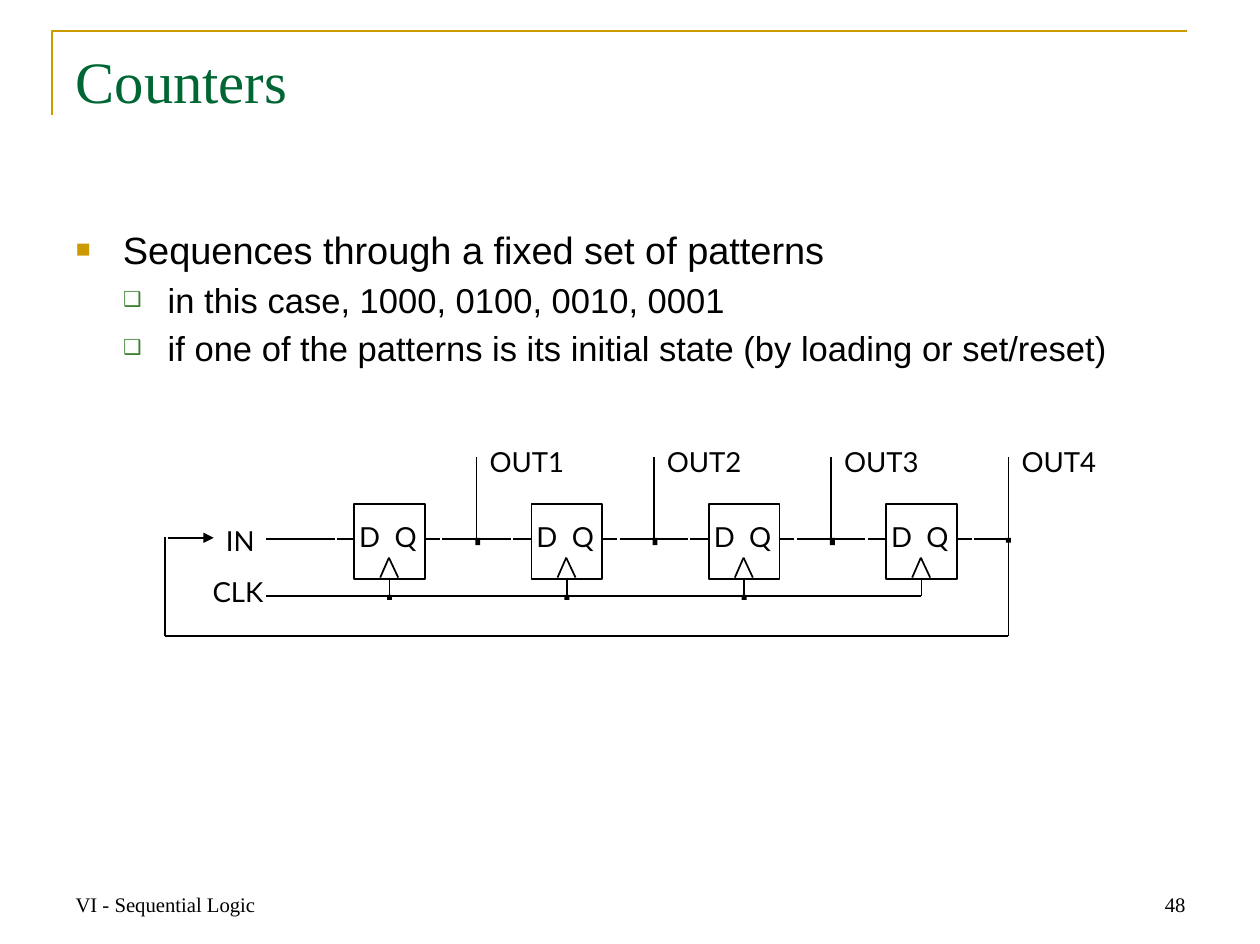
from lxml import etree
from pptx import Presentation
from pptx import util as u
from pptx.dml import color
from pptx.enum import shapes, text
from pptx.oxml import ns

COLORS = {
    "ink": "000000",
    "paper": "FFFFFF",
    "gold": "CC9900",
    "green": "006633",
    "leaf": "3B812F",
}
FONTS = {"title": "Times New Roman", "body": "Arial", "label": "Lato"}
COLUMNS, ROWS = 101.4, 76
CELL = u.Inches(0.1)
LEFT, RIGHT = text.PP_ALIGN.LEFT, text.PP_ALIGN.RIGHT
TOP, BOTTOM = text.MSO_ANCHOR.TOP, text.MSO_ANCHOR.BOTTOM


def cells(*counts):
    return [u.Emu(round(count * CELL)) for count in counts]


def rgb(name):
    return color.RGBColor.from_string(COLORS[name])


class CircuitPage:
    def __init__(self, deck):
        self.page = deck.slides.add_slide(deck.slide_layouts[1])
        self.items = self.page.shapes

    def style(self, para, font, size, ink="ink", align=LEFT):
        para.alignment = align
        para.font.name = FONTS[font]
        para.font.size = u.Pt(size)
        para.font.color.rgb = rgb(ink)

    def frame(self, box, margins=(1, 0.5), anchor=TOP):
        frame = box.text_frame
        frame.word_wrap = True
        frame.auto_size = text.MSO_AUTO_SIZE.NONE
        frame.vertical_anchor = anchor
        frame.margin_left = frame.margin_right = cells(margins[0])[0]
        frame.margin_top = frame.margin_bottom = cells(margins[1])[0]
        return frame

    def place(self, box, area):
        box.left, box.top, box.width, box.height = cells(*area)

    def title(self, words, area):
        box = self.items.title
        self.place(box, area)
        para = self.frame(box).paragraphs[0]
        para.text = words
        self.style(para, "title", 34, "green")

    def bullets(self, entries, area):
        box = self.page.placeholders[1]
        self.place(box, area)
        frame = self.frame(box)
        looks = [(22, 3.8, 3.8, "■", "gold", 65), (20, 7.4, 3.6, "❑", "leaf", 60)]
        for index, (level, words) in enumerate(entries):
            para = frame.add_paragraph() if index else frame.paragraphs[0]
            para.text, para.level = words, level
            size, margin, hang, mark, ink, share = looks[level]
            self.style(para, "body", size)
            self.bullet(para, margin, hang, mark, ink, share)

    def bullet(self, para, margin, hang, mark, ink, share):
        props = para._p.get_or_add_pPr()
        props.set("marL", str(cells(margin)[0]))
        props.set("indent", str(-cells(hang)[0]))
        tint = etree.Element(ns.qn("a:buClr"))
        etree.SubElement(tint, ns.qn("a:srgbClr"), val=COLORS[ink])
        size = etree.Element(ns.qn("a:buSzPct"), val=str(share * 1000))
        char = etree.Element(ns.qn("a:buChar"), char=mark)
        for position, node in enumerate((tint, size, char)):
            props.insert(position, node)

    def footer(self, words, area, align=LEFT):
        box = self.items.add_textbox(*cells(*area))
        para = self.frame(box, anchor=BOTTOM).paragraphs[0]
        para.text = words
        self.style(para, "title", 12, align=align)

    def label(self, words, left, top, width, align=LEFT):
        box = self.items.add_textbox(*cells(left, top, width, 3.8))
        para = self.frame(box, (0.2, 0.3)).paragraphs[0]
        para.text = words
        para.line_spacing = u.Pt(17)
        self.style(para, "label", 16, align=align)

    def block(self, left, top, width, height, fill="paper", outlined=True):
        kind = shapes.MSO_SHAPE.RECTANGLE
        box = self.items.add_shape(kind, *cells(left, top, width, height))
        box.shadow.inherit = False
        box.fill.solid()
        box.fill.fore_color.rgb = rgb(fill)
        if outlined:
            box.line.color.rgb = rgb("ink")
            box.line.width = u.Pt(1)
        else:
            box.line.fill.background()

    def dot(self, left, top, width=0.4, height=0.4):
        self.block(left, top, width, height, "ink", outlined=False)

    def wire(self, x1, y1, x2, y2, arrow=False):
        kind = shapes.MSO_CONNECTOR.STRAIGHT
        line = self.items.add_connector(kind, *cells(x1, y1, x2, y2))
        line.line.color.rgb = rgb("ink")
        line.line.width = u.Pt(1)
        if arrow:
            etree.SubElement(line.line._get_or_add_ln(), ns.qn("a:tailEnd"), type="triangle")
        etree.SubElement(line._element.spPr, ns.qn("a:effectLst"))

    def corner(self, points):
        start, *others = [cells(*point) for point in points]
        builder = self.items.build_freeform(*start)
        builder.add_line_segments(others, close=False)
        rule = builder.convert_to_shape()
        rule.shadow.inherit = False
        rule.fill.background()
        rule.line.color.rgb = rgb("gold")
        rule.line.width = u.Pt(1.5)

    def flip_flop(self, left):
        self.block(left, 40.6, 5.7, 6)
        for foot in (2.1, 3.55):
            self.wire(left + foot, 46.5, left + 2.8, 44.9)
        for name, offset in (("D", 0.2), ("Q", 3.05)):
            self.label(name, left + offset, 41.9, 2.8)
        self.wire(left + 2.85, 46.5, left + 2.85, CLOCK)

    def output(self, left, name):
        for start, end in ((5.7, 6.9), (7.1, 9.8)):
            self.wire(left + start, DATA, left + end, DATA)
        self.wire(left + TAP, 36.8, left + TAP, DATA)
        self.label(name, left + 10.7, 35.8, 7.9)

    def link(self, left):
        for start, end in ((TAP, 12.6), (12.8, 14.2)):
            self.wire(left + start, DATA, left + end, DATA)
        self.dot(left + 9.75, 43.3, height=0.6)
        self.dot(left + 2.65, 47.9)


FIRST, PITCH, STAGES = 28.5, 14.27, 4
DATA, CLOCK, TAP = 43.4, 48, 9.85
RETURN, LOOP = 51.2, 13.3


def main():
    deck = Presentation()
    deck.slide_width, deck.slide_height = cells(COLUMNS, ROWS)
    page = CircuitPage(deck)
    page.corner([(4.2, 9.3), (4.2, 2.5), (95.5, 2.5)])
    page.footer("VI - Sequential Logic", (5.1, 69.2, 23.7, 5.1))
    page.footer("48", (72.7, 69.2, 23.7, 5.1), RIGHT)
    page.title("Counters", (5.1, 3.1, 91.2, 12.6))
    page.bullets([
        (0, "Sequences through a fixed set of patterns"),
        (1, "in this case, 1000, 0100, 0010, 0001"),
        (1, "if one of the patterns is its initial state (by loading or set/reset)"),
    ], (5.1, 17.7, 91.2, 50.2))

    lefts = [FIRST + PITCH * stage for stage in range(STAGES)]
    for number, left in enumerate(lefts, 1):
        page.flip_flop(left)
        page.output(left, f"OUT{number}")
        if number < STAGES:
            page.link(left)

    page.label("IN", 14.9, 42.2, 5.8, RIGHT)
    page.label("CLK", 15.8, 46.3, 5.6, RIGHT)
    page.wire(21.4, DATA, 27, DATA)
    page.wire(27.1, DATA, 28.4, DATA)
    page.wire(21.4, CLOCK, lefts[-1] + 2.8, CLOCK)

    end = lefts[-1] + TAP
    page.wire(end, DATA, end, RETURN)
    page.wire(end, RETURN, LOOP, RETURN)
    page.wire(LOOP, RETURN, LOOP, 43.2)
    page.wire(13.5, 43.3, 17.2, 43.3, arrow=True)
    page.dot(end - 0.2, 43.3)
    deck.save("out.pptx")


if __name__ == "__main__":
    main()
